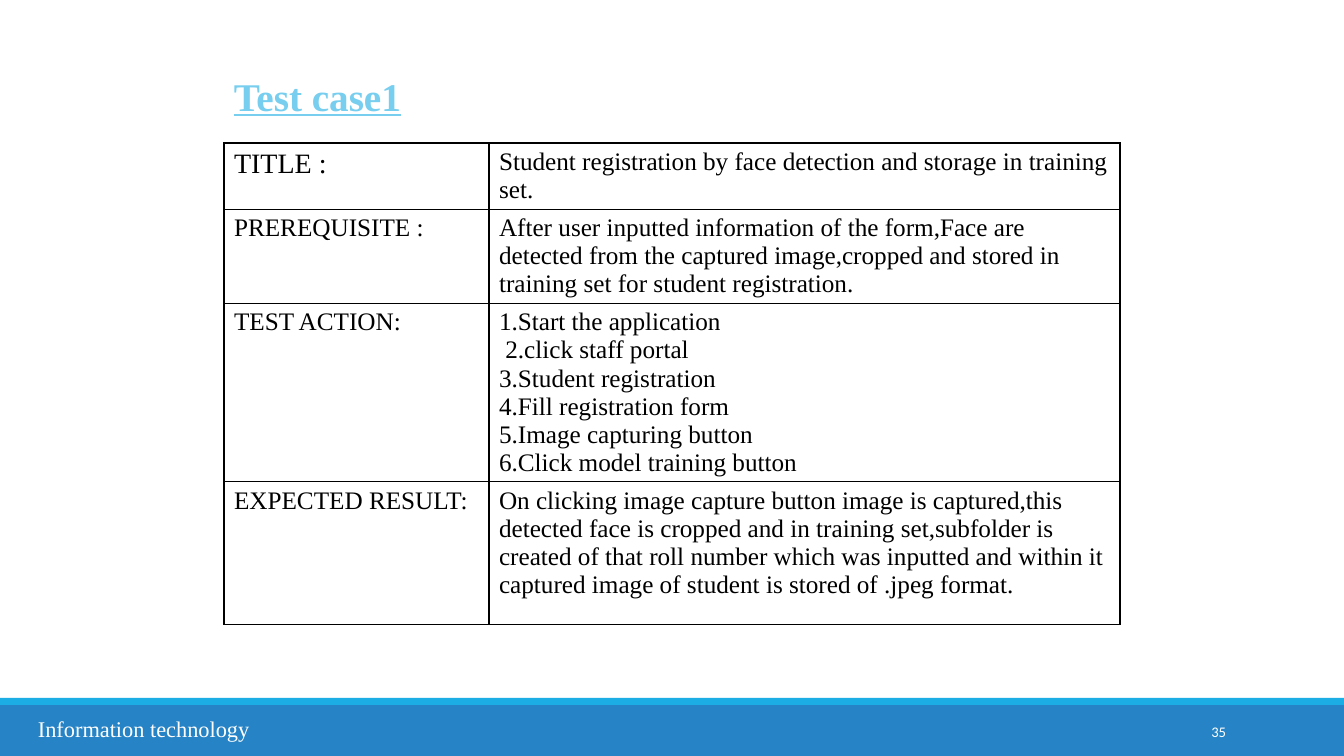
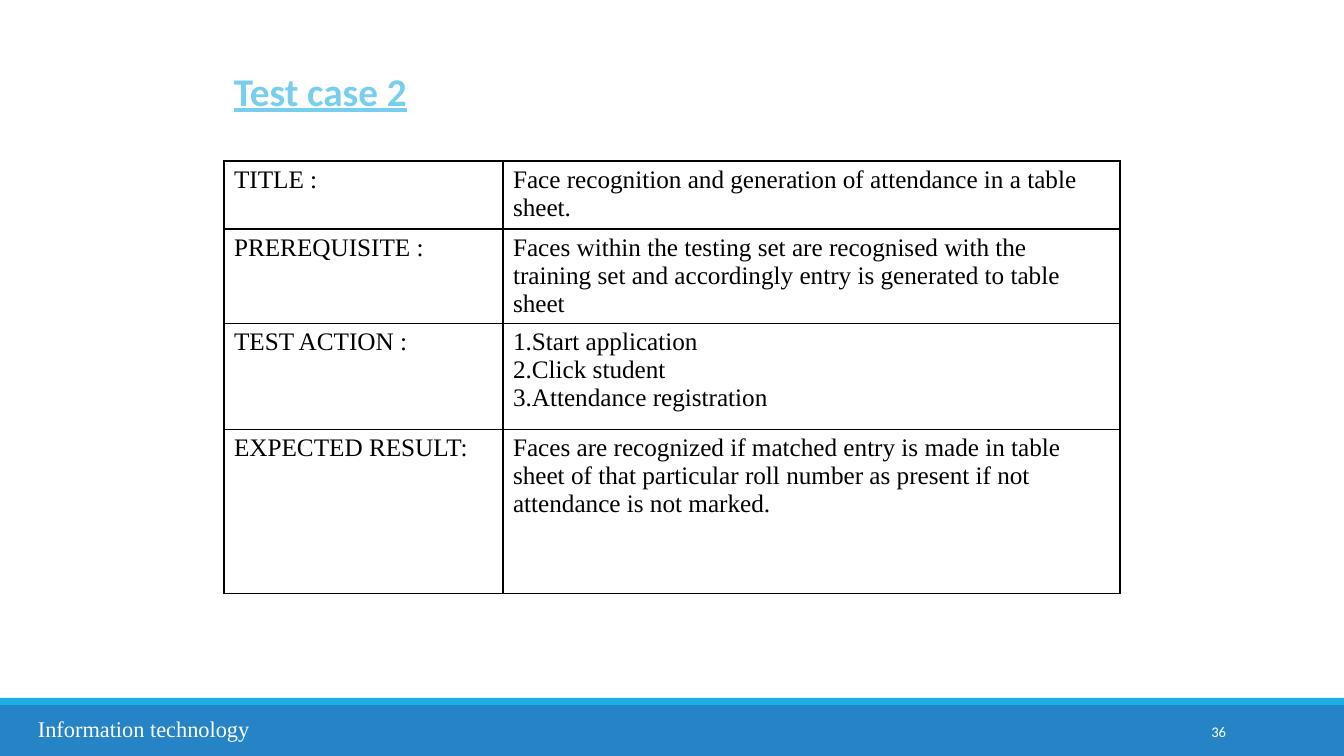
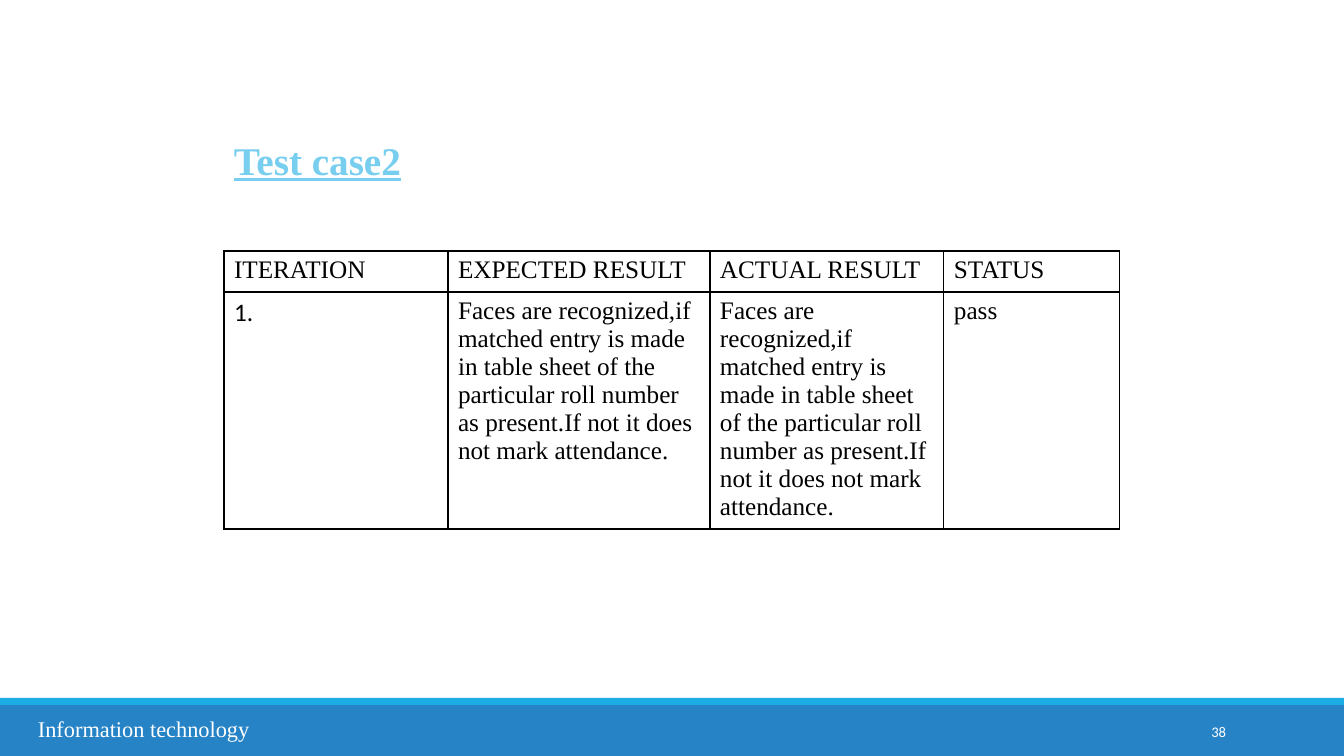
from lxml.etree import SubElement
from pptx import Presentation
from pptx.dml.color import RGBColor
from pptx.enum.shapes import MSO_SHAPE
from pptx.enum.text import MSO_ANCHOR, PP_ALIGN
from pptx.oxml.ns import qn
from pptx.util import Pt

PAGE_WIDTH, PAGE_HEIGHT = 1344, 756
EMU_PER_PX = 12192000 / PAGE_WIDTH
TABLE_LEFT = 224
COLORS = {
    "band": "2683C6",
    "strip": "1CADE4",
    "title": "77CEEF",
    "text": "000000",
    "paper": "FFFFFF",
}
SERIF, SANS = "Times New Roman", "Calibri"
TITLE_FORMAT = {"name": SERIF, "size": Pt(28), "bold": True, "underline": True}
FOOTER_FORMAT = {"name": SERIF, "size": Pt(16)}
NUMBER_FORMAT = {"name": SANS, "size": Pt(10.5)}
CELL_FORMAT = {"name": SERIF, "size": Pt(18)}
CELL_LINE_SPACING = Pt(20)
MATCH_RESULT = (
    "Faces are recognized,if matched entry is made in table sheet of the "
    "particular roll number as present.If not it does not mark attendance."
)

PAGES = [
    {
        "number": "35",
        "title": "Test case1",
        "title_top": 67,
        "table_top": 143,
        "columns": [265, 631],
        "rows": [66, 94, 178, 143],
        "cells": [
            ["TITLE :", "Student registration by face detection and storage in training set."],
            ["PREREQUISITE :",
             "After user inputted information of the form,Face are detected from the "
             "captured image,cropped and stored in training set for student registration."],
            ["TEST ACTION:",
             "1.Start the application\n 2.click staff portal\n3.Student registration\n"
             "4.Fill registration form\n5.Image capturing button\n6.Click model training button"],
            ["EXPECTED RESULT:",
             "On clicking image capture button image is captured,this detected face is "
             "cropped and in training set,subfolder is created of that roll number which was "
             "inputted and within it captured image of student is stored of .jpeg format."],
        ],
        "cell_formats": {(0, 0): {"size": Pt(20)}},
    },
    {
        "number": "36",
        "title": "Test case 2",
        "title_top": 62,
        "title_format": {"name": SANS},
        "table_top": 161,
        "columns": [279, 617],
        "rows": [68, 94, 106, 164],
        "cells": [
            ["TITLE :", "Face recognition and generation of attendance in a table sheet."],
            ["PREREQUISITE :",
             "Faces within the testing set are recognised with the training set and "
             "accordingly entry is generated to table sheet"],
            ["TEST ACTION :", "1.Start application\n2.Click student\n3.Attendance registration"],
            ["EXPECTED RESULT:",
             "Faces are recognized if matched entry is made in table sheet of that "
             "particular roll number as present if not attendance is not marked."],
        ],
    },
    {
        "number": "38",
        "title": "Test case2",
        "title_top": 131,
        "table_top": 251,
        "columns": [224, 262, 234, 176],
        "rows": [41, 237],
        "cells": [
            ["ITERATION", "EXPECTED RESULT", "ACTUAL RESULT", "STATUS"],
            ["1.", MATCH_RESULT, MATCH_RESULT, "pass"],
        ],
        "cell_formats": {(1, 0): {"name": SANS}},
    },
]


def px(length):
    return round(length * EMU_PER_PX)


def color(name):
    return RGBColor.from_string(COLORS[name])


def write(frame, text, formats, color_name, align=PP_ALIGN.LEFT, spacing=None):
    frame.word_wrap = True
    for index, line in enumerate(text.split("\n")):
        para = frame.paragraphs[0] if index == 0 else frame.add_paragraph()
        para.alignment = align
        para.line_spacing = spacing
        span = para.add_run()
        span.text = line
        for attribute, value in formats.items():
            setattr(span.font, attribute, value)
        span.font.color.rgb = color(color_name)


def add_text(page, box, text, formats, color_name, align=PP_ALIGN.LEFT, anchor=MSO_ANCHOR.TOP):
    frame = page.shapes.add_textbox(*map(px, box)).text_frame
    frame.vertical_anchor = anchor
    write(frame, text, formats, color_name, align)


def add_band(page, box, color_name):
    band = page.shapes.add_shape(MSO_SHAPE.RECTANGLE, *map(px, box))
    band.shadow.inherit = False
    band.fill.solid()
    band.fill.fore_color.rgb = color(color_name)
    band.line.fill.background()


def add_footer(page, box, number):
    left, top, width, height = box
    strip_height = 7
    band_top = top + strip_height
    add_band(page, (left, band_top, width, height - strip_height), "band")
    add_band(page, (left, top, width, strip_height), "strip")
    add_text(page, (left + 1092, band_top + 7, 144, 40), number, NUMBER_FORMAT, "paper",
             PP_ALIGN.RIGHT, MSO_ANCHOR.MIDDLE)
    add_text(page, (left + 28, band_top + 5, 302, 37), "Information technology",
             FOOTER_FORMAT, "paper")


def add_borders(cell):
    properties = cell._tc.get_or_add_tcPr()
    for index, side in enumerate(("a:lnL", "a:lnR", "a:lnT", "a:lnB")):
        line = properties.makeelement(qn(side), {"w": str(Pt(1))})
        fill = SubElement(line, qn("a:solidFill"))
        SubElement(fill, qn("a:srgbClr"), val=COLORS["text"])
        properties.insert(index, line)


def add_test_table(page, left, top, columns, rows, cells, cell_formats):
    box = (left, top, sum(columns), sum(rows))
    table = page.shapes.add_table(len(rows), len(columns), *map(px, box)).table
    table.first_row = False
    table.horz_banding = False
    for column, width in zip(table.columns, columns):
        column.width = px(width)
    for row, height in zip(table.rows, rows):
        row.height = px(height)
    for row_index, texts in enumerate(cells):
        for column_index, text in enumerate(texts):
            cell = table.cell(row_index, column_index)
            cell.fill.solid()
            cell.fill.fore_color.rgb = color("paper")
            add_borders(cell)
            special = cell_formats.get((row_index, column_index), {})
            spacing = None if special else CELL_LINE_SPACING
            write(cell.text_frame, text, CELL_FORMAT | special, "text", spacing=spacing)


def add_test_page(deck, content):
    page = deck.slides.add_slide(deck.slide_layouts[6])
    add_footer(page, (0, 698, PAGE_WIDTH, PAGE_HEIGHT - 698), content["number"])
    add_test_table(page, TABLE_LEFT, content["table_top"], content["columns"],
                   content["rows"], content["cells"], content.get("cell_formats", {}))
    add_text(page, (TABLE_LEFT, content["title_top"], 448, 57), content["title"],
             TITLE_FORMAT | content.get("title_format", {}), "title")


def main():
    deck = Presentation()
    deck.slide_width, deck.slide_height = px(PAGE_WIDTH), px(PAGE_HEIGHT)
    for content in PAGES:
        add_test_page(deck, content)
    deck.save("out.pptx")


if __name__ == "__main__":
    main()
